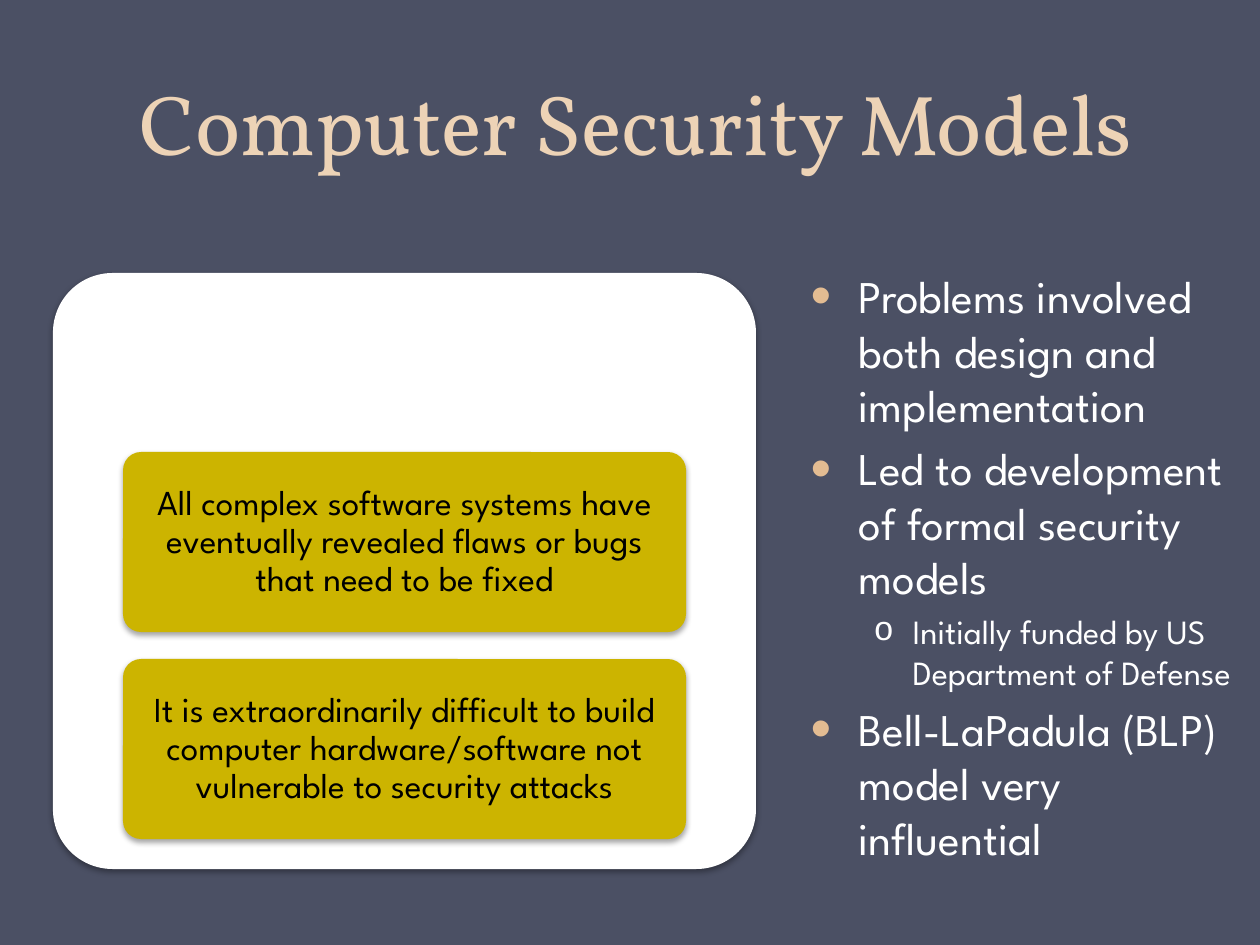
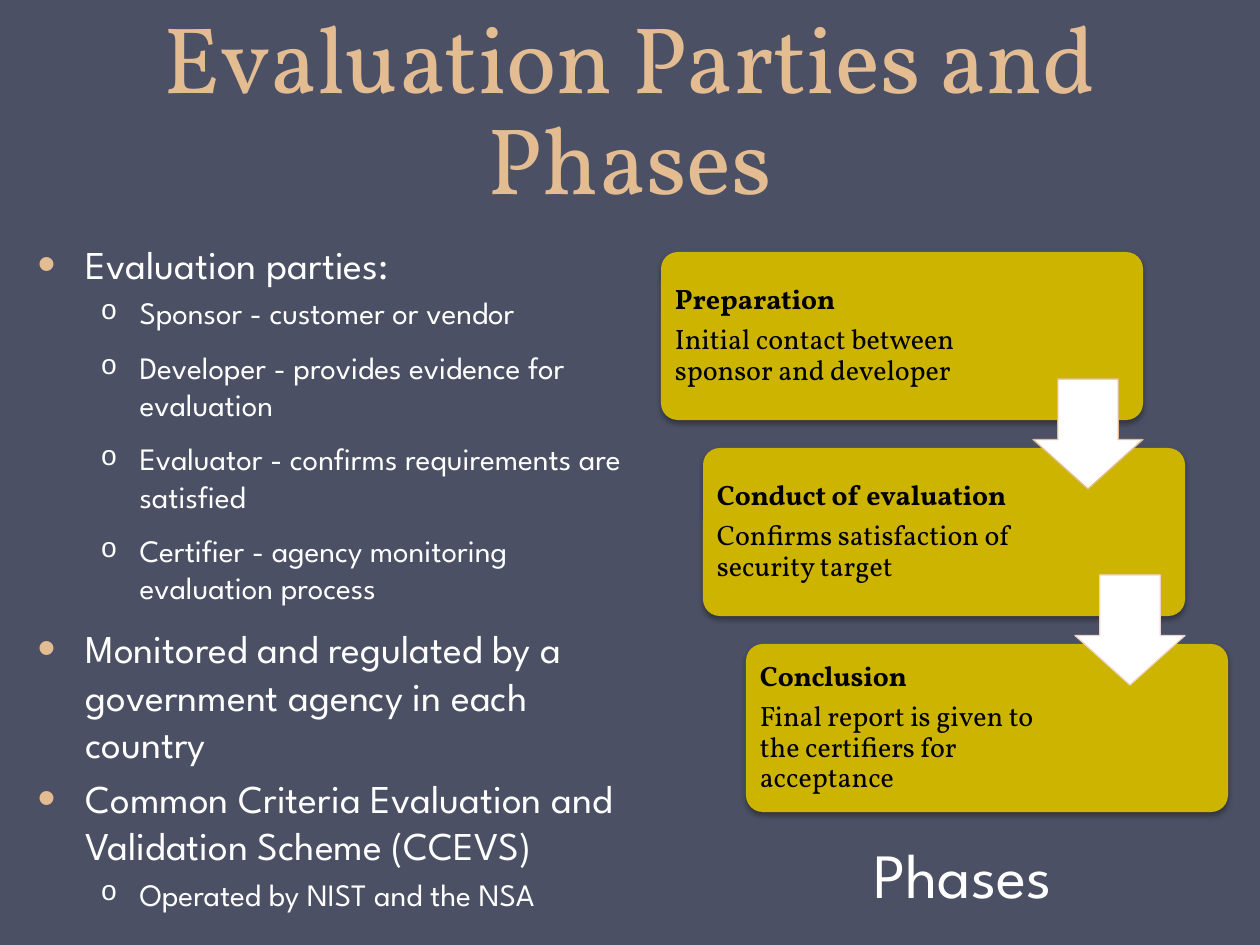
from lxml.etree import SubElement
from pptx import Presentation
from pptx.dml.color import RGBColor
from pptx.enum.shapes import MSO_SHAPE as Shape
from pptx.enum.text import MSO_ANCHOR as Anchor, MSO_AUTO_SIZE as AutoSize, PP_ALIGN as Align
from pptx.oxml.ns import qn
from pptx.util import Emu, Pt

COLORS = {
    "background": "4B5064",
    "cream": "EDD3B6",
    "sand": "E3BC92",
    "blush": "EED3D0",
    "card": "CCB400",
    "white": "FFFFFF",
    "black": "000000",
}
SERIF, SANS = "Vollkorn", "League Spartan"
PX_PER_INCH = 126

# Each list item is (level, text).
MODELS = {
    "title": "Computer Security Models",
    "points": [
        (0, "Problems involved both design and implementation"),
        (0, "Led to development of formal security models"),
        (1, "Initially funded by US Department of Defense"),
        (0, "Bell-LaPadula (BLP) model very influential"),
    ],
    "cards": [
        "All complex software systems have eventually revealed flaws or bugs that need to be fixed",
        "It is extraordinarily difficult to build computer hardware/software not vulnerable "
        "to security attacks",
    ],
}
EVALUATION = {
    "title": "Evaluation Parties and Phases",
    "points": [
        (0, "Evaluation parties:"),
        (1, "Sponsor - customer or vendor"),
        (1, "Developer - provides evidence for evaluation"),
        (1, "Evaluator - confirms requirements are satisfied"),
        (1, "Certifier - agency monitoring evaluation process"),
        (0, "Monitored and regulated by a government agency in each country"),
        (0, "Common Criteria Evaluation and Validation Scheme (CCEVS)"),
        (1, "Operated by NIST and the NSA"),
    ],
    # Heading, description, right margin of the text
    "phases": [
        ("Preparation", "Initial contact between sponsor and developer", 180),
        ("Conduct of evaluation", "Confirms satisfaction of security target", 161),
        ("Conclusion", "Final report is given to the certifiers for acceptance", 161),
    ],
    "arrow_lines": ["sand", "blush"],
    "caption": "Phases",
}


def px(length):
    return Emu(round(length * 914400 / PX_PER_INCH))


def color(name):
    return RGBColor.from_string(COLORS[name])


def place(shape, bounds):
    shape.left, shape.top, shape.width, shape.height = map(px, bounds)


def add_run(para, text, size, font, color_name, bold=False):
    span = para.add_run()
    span.text = text
    span.font.size = Pt(size)
    span.font.name = font
    span.font.bold = bold
    span.font.color.rgb = color(color_name)


def paragraphs(frame, count):
    """Return the frame's first paragraph followed by new ones, count in all."""
    return [frame.paragraphs[0]] + [frame.add_paragraph() for _ in range(count - 1)]


def set_title(page, text, bounds, size, color_name):
    title = page.shapes.title
    place(title, bounds)
    frame = title.text_frame
    frame.auto_size = AutoSize.NONE
    frame.vertical_anchor = Anchor.BOTTOM
    para = frame.paragraphs[0]
    para.alignment = Align.CENTER
    para.line_spacing = Pt(58)
    add_run(para, text, size, SERIF, color_name)


def set_bullet(para, level, sub_percent):
    margin, hanging = [(48, 48), (102, 39)][level]
    percent, bullet_color, font, mark = [
        (130, "sand", "Arial", "•"),
        (sub_percent, "white", "Courier New", "o"),
    ][level]
    props = para._p.get_or_add_pPr()
    props.set("marL", str(px(margin)))
    props.set("indent", str(px(-hanging)))
    holder = SubElement(props, qn("a:buClr"))
    SubElement(holder, qn("a:srgbClr"), val=COLORS[bullet_color])
    SubElement(props, qn("a:buSzPct"), val=str(percent * 1000))
    SubElement(props, qn("a:buFont"), typeface=font)
    SubElement(props, qn("a:buChar"), char=mark)


def set_points(page, points, bounds, sizes, sub_percent=100, sub_after=0):
    body = page.placeholders[1]
    place(body, bounds)
    frame = body.text_frame
    frame.auto_size = AutoSize.NONE
    frame.vertical_anchor = Anchor.TOP
    for index, (para, (level, text)) in enumerate(zip(paragraphs(frame, len(points)), points)):
        size = sizes[level]
        para.level = level
        set_bullet(para, level, sub_percent)
        para.space_before = Pt(0.2 * size if index else 0)
        para.space_after = Pt(sub_after if level else 0)
        add_run(para, text, size, SANS, "white")


def add_panel(page, bounds, fill):
    """Add a rounded rectangle with a soft shadow below it."""
    panel = page.shapes.add_shape(Shape.ROUNDED_RECTANGLE, *map(px, bounds))
    panel.adjustments[0] = 0.1
    panel.fill.solid()
    panel.fill.fore_color.rgb = color(fill)
    panel.line.fill.background()
    panel.shadow.inherit = False
    effects = panel._element.spPr.find(qn("a:effectLst"))
    shadow = SubElement(effects, qn("a:outerShdw"), blurRad=str(Pt(3.1)), dist=str(Pt(1.8)),
                        dir="5400000", rotWithShape="0")
    tint = SubElement(shadow, qn("a:srgbClr"), val=COLORS["black"])
    SubElement(tint, qn("a:alpha"), val="35000")
    return panel


def add_card(page, bounds, lines, size, font, align, margins):
    """Add a card; lines holds (text, bold), margins is left, top, right, bottom."""
    frame = add_panel(page, bounds, "card").text_frame
    frame.word_wrap = True
    frame.vertical_anchor = Anchor.MIDDLE
    (frame.margin_left, frame.margin_top,
     frame.margin_right, frame.margin_bottom) = map(px, margins)
    for para, (text, bold) in zip(paragraphs(frame, len(lines)), lines):
        para.alignment = align
        para.line_spacing = 0.9
        para.space_after = Pt(0.35 * size)
        add_run(para, text, size, font, "black", bold)


def add_arrow(page, bounds, line):
    arrow = page.shapes.add_shape(Shape.DOWN_ARROW, *map(px, bounds))
    arrow.adjustments[0] = 0.55
    arrow.adjustments[1] = 0.45
    arrow.fill.solid()
    arrow.fill.fore_color.rgb = color("white")
    arrow.line.color.rgb = color(line)
    arrow.line.width = Pt(0.75)
    arrow.shadow.inherit = False


def build_models(page):
    set_title(page, MODELS["title"], (64, -24, 1144, 203), 48.6, "cream")
    set_points(page, MODELS["points"], (798, 262, 447, 683), (25.9, 19.4))
    add_panel(page, (53, 273, 703, 596), "white")
    for row, text in enumerate(MODELS["cards"]):
        add_card(page, (123, 452 + 207 * row, 563, 180), [(text, False)], 20, SANS,
                 Align.CENTER, (8, 5, 8, 5))


def build_evaluation(page):
    set_title(page, EVALUATION["title"], (63, 0, 1134, 220), 54, "sand")
    set_points(page, EVALUATION["points"], (25, 234, 616, 711), (22.5, 17.8),
               sub_percent=90, sub_after=6)
    width, height, arrow_size = 482, 168, 110
    corners = [(661 + 85 * step // 2, 252 + 196 * step)
               for step in range(len(EVALUATION["phases"]))]
    for (left, top), (heading, detail, right) in zip(corners, EVALUATION["phases"]):
        add_card(page, (left, top, width, height), [(heading, True), (detail, False)], 16, SERIF,
                 Align.LEFT, (9, 9, right, 9))
    for (left, top), line in zip(corners, EVALUATION["arrow_lines"]):
        add_arrow(page, (left + width - arrow_size, top + 127, arrow_size, arrow_size), line)
    caption = page.shapes.add_textbox(*map(px, (861, 829, 242, 89))).text_frame
    caption.word_wrap = True
    caption.auto_size = AutoSize.SHAPE_TO_FIT_TEXT
    add_run(caption.paragraphs[0], EVALUATION["caption"], 36, SANS, "white")


def main():
    deck = Presentation()
    deck.slide_width, deck.slide_height = px(1260), px(945)
    backdrop = deck.slide_master.background.fill
    backdrop.solid()
    backdrop.fore_color.rgb = color("background")
    for build in (build_models, build_evaluation):
        build(deck.slides.add_slide(deck.slide_layouts[1]))
    deck.save("out.pptx")


if __name__ == "__main__":
    main()
